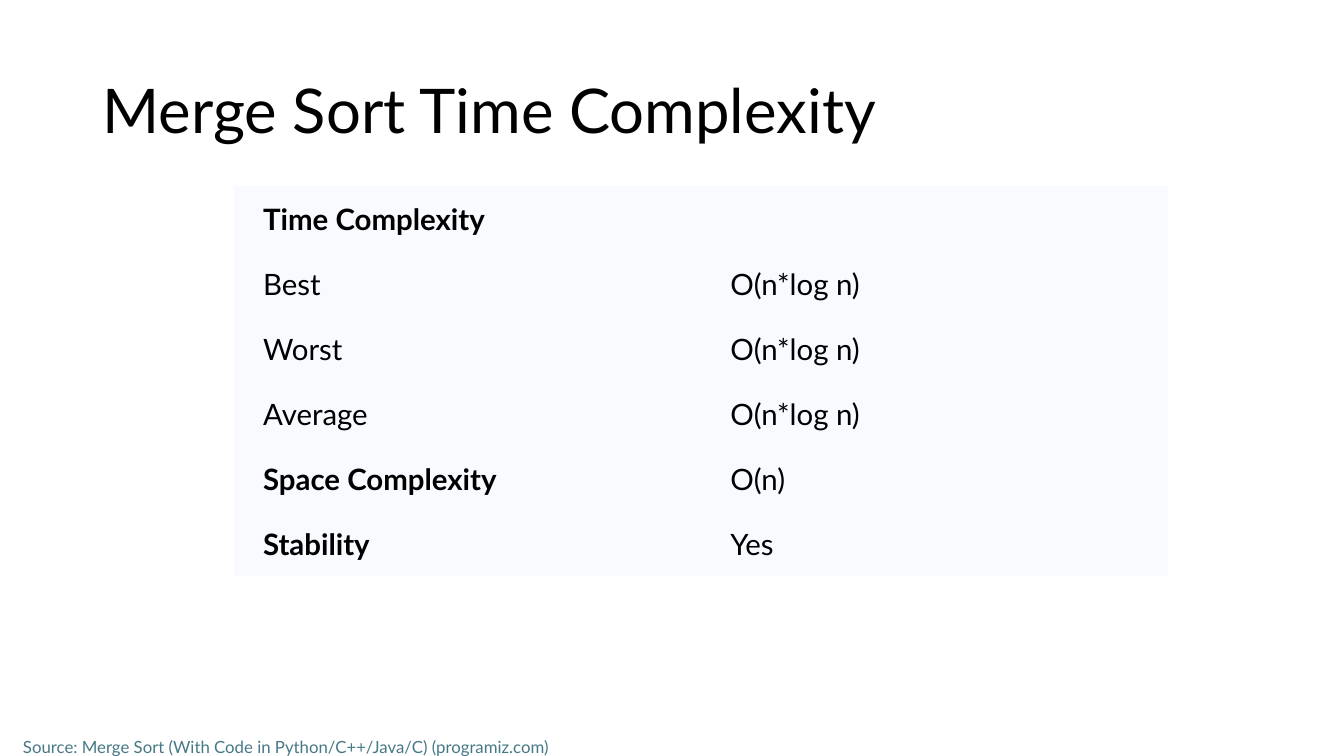
from dataclasses import dataclass

from pptx import Presentation
from pptx.dml.color import RGBColor
from pptx.enum.text import MSO_ANCHOR, MSO_AUTO_SIZE, PP_ALIGN
from pptx.oxml.ns import qn
from pptx.slide import Slide
from pptx.text.text import TextFrame
from pptx.util import Cm, Pt

FONT = "Lato"
BLACK = RGBColor(0x00, 0x00, 0x00)
PALE_BLUE = RGBColor(0xF8, 0xFA, 0xFF)
TEAL = RGBColor(0x46, 0x78, 0x86)
NO_STYLE_NO_GRID = "{2D5ABB26-0587-4C30-8999-92F81FD0307C}"


@dataclass(frozen=True)
class Row:
    label: str
    value: str = ""
    heading: bool = False


ROWS = [
    Row("Time Complexity", heading=True),
    Row("Best", "O(n*log n)"),
    Row("Worst", "O(n*log n)"),
    Row("Average", "O(n*log n)"),
    Row("Space Complexity", "O(n)", heading=True),
    Row("Stability", "Yes", heading=True),
]


def write(tf: TextFrame, text: str, size: float, color: RGBColor = BLACK,
          bold: bool = False, underline: bool = False) -> None:
    tf.text = text
    p = tf.paragraphs[0]
    p.alignment = PP_ALIGN.LEFT
    for r in p.runs:
        r.font.name = FONT
        r.font.size = Pt(size)
        r.font.bold = bold
        r.font.underline = underline
        r.font.color.rgb = color


def add_title(s: Slide) -> None:
    sp = s.shapes.title
    sp.left, sp.top, sp.width, sp.height = Cm(2.33), Cm(1.01), Cm(29.21), Cm(3.68)
    tf = sp.text_frame
    write(tf, "Merge Sort Time Complexity", 44)
    tf.vertical_anchor = MSO_ANCHOR.MIDDLE
    tf.paragraphs[0].line_spacing = 0.9


def add_complexity_table(s: Slide) -> None:
    frame = s.shapes.add_table(len(ROWS), 2, Cm(5.89), Cm(4.69), Cm(23.55), Cm(9.83))
    table = frame.table
    table.first_row = table.horz_banding = False
    table._tbl.tblPr.find(qn("a:tableStyleId")).text = NO_STYLE_NO_GRID
    for i, row in enumerate(ROWS):
        for j, text in enumerate((row.label, row.value)):
            cell = table.cell(i, j)
            cell.fill.solid()
            cell.fill.fore_color.rgb = PALE_BLUE
            if text:
                cell.margin_left = cell.margin_right = Cm(0.74)
                cell.margin_top = cell.margin_bottom = Cm(0.37)
                cell.vertical_anchor = MSO_ANCHOR.MIDDLE
                write(cell.text_frame, text, 21, bold=row.heading and j == 0)


def add_source(s: Slide) -> None:
    tf = s.shapes.add_textbox(Cm(0.33), Cm(18.44), Cm(17.35), Cm(0.77)).text_frame
    tf.word_wrap = True
    tf.auto_size = MSO_AUTO_SIZE.SHAPE_TO_FIT_TEXT
    write(tf, "Source: Merge Sort (With Code in Python/C++/Java/C) (programiz.com)",
          12, TEAL, underline=True)


def main() -> None:
    prs = Presentation()
    prs.slide_width, prs.slide_height = Cm(33.87), Cm(19.05)
    s = prs.slides.add_slide(prs.slide_layouts.get_by_name("Title Only"))
    add_title(s)
    add_complexity_table(s)
    add_source(s)
    prs.save("out.pptx")


if __name__ == "__main__":
    main()
